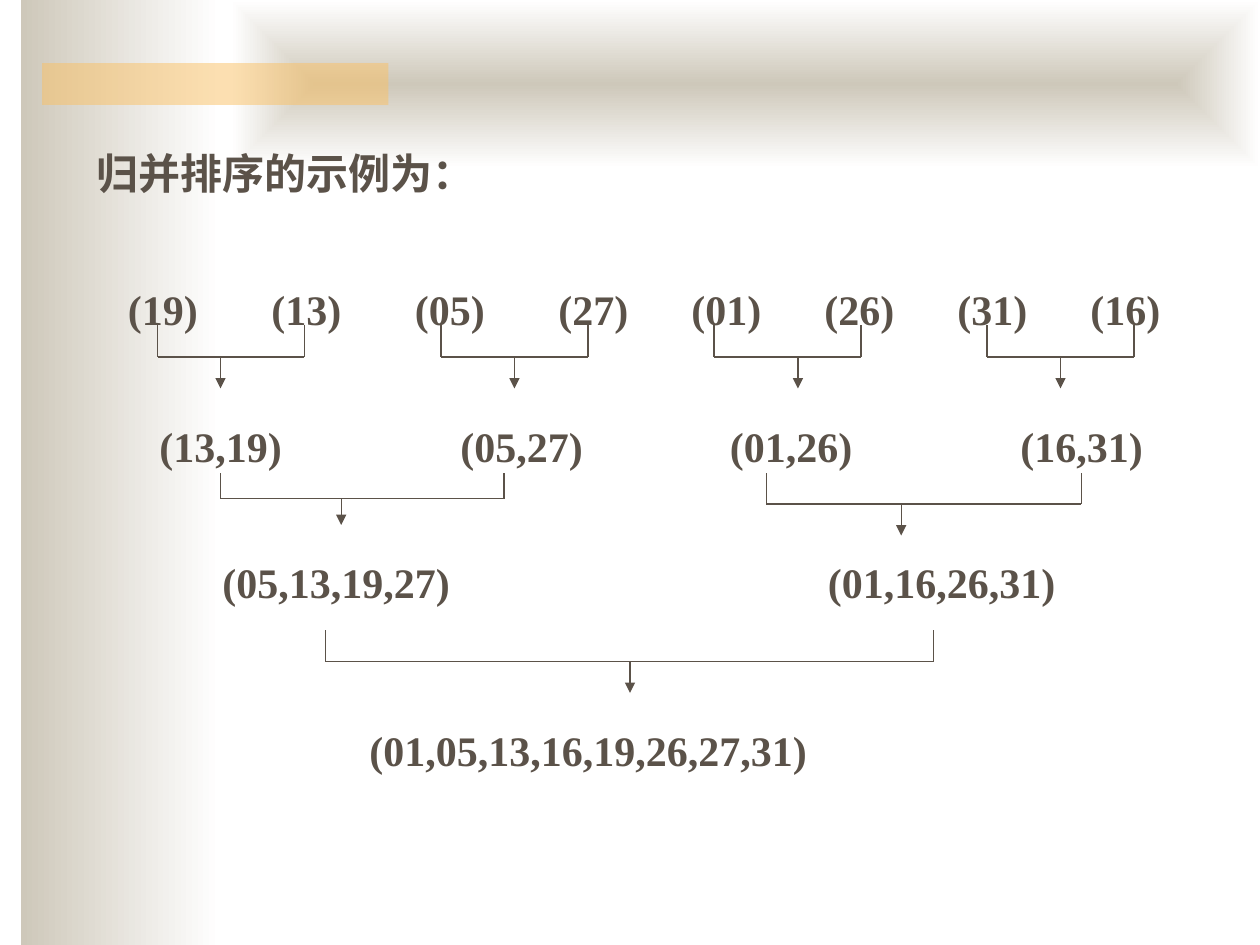
from dataclasses import dataclass

from lxml import etree
from pptx import Presentation
from pptx import util as u
from pptx.dml import color
from pptx.enum import shapes, text
from pptx.oxml import ns

INK = "5B5249"
SAND = "CEC8BA"
WHITE = "FFFFFF"
AMBER = "FAC164"
FONT = "Times New Roman"


@dataclass
class Row:
    left: float
    top: float
    width: float
    stops: list[float]
    lists: list[str]


@dataclass
class Bracket:
    left: float
    right: float
    arrow_x: float
    y: float
    reach: float = 18


ROWS = [
    Row(66, 156, 624, [82 * i for i in range(5)] + [322 + 76 * i for i in range(1, 4)],
        ["(19)", "(13)", "(05)", "(27)", "(01)", "(26)", "(31)", "(16)"]),
    Row(60, 234, 636, [24, 196, 350, 516], ["(13,19)", "(05,27)", "(01,26)", "(16,31)"]),
    Row(60, 312, 612, [60, 406], ["(05,13,19,27)", "(01,16,26,31)"]),
    Row(78, 408, 564, [126], ["(01,05,13,16,19,26,27,31)"]),
]
# The fifth list follows a narrower gap than the first four
ROWS[0].stops[4] = 322

BRACKETS = [
    *[Bracket(left, left + 84, arrow_x, 204)
      for left, arrow_x in [(90, 126), (252, 294), (408, 456), (564, 606)]],
    Bracket(126, 288, 195, 285, 15),
    Bracket(438, 618, 515, 288),
    Bracket(186, 533.5, 360, 378),
]


def rgb(value: str) -> color.RGBColor:
    return color.RGBColor.from_string(value)


def child(parent, tag: str, **attributes: str):
    return etree.SubElement(parent, ns.qn(tag), **attributes)


def add_panel(page, left: float, top: float, width: float, height: float):
    panel = page.shapes.add_shape(shapes.MSO_SHAPE.RECTANGLE, u.Pt(left), u.Pt(top),
                                  u.Pt(width), u.Pt(height))
    panel.shadow.inherit = False
    panel.line.fill.background()
    return panel


def fade(panel) -> None:
    panel.fill.gradient()
    panel.fill.gradient_angle = 0
    for stop, value, place in zip(panel.fill.gradient_stops, (SAND, WHITE), (0, 1)):
        stop.color.rgb = rgb(value)
        stop.position = place


def fade_from_centre(panel) -> None:
    fade(panel)
    linear = panel.fill._fill._gradFill.find(ns.qn("a:lin"))
    route = etree.Element(ns.qn("a:path"), path="rect")
    child(route, "a:fillToRect", l="50000", t="50000", r="50000", b="50000")
    linear.getparent().replace(linear, route)


def add_text(parent, left: float, top: float, width: float, words: str,
             inset_top: float, stops: list[float]) -> None:
    box = parent.add_textbox(u.Pt(left), u.Pt(top), u.Pt(width), u.Pt(36))
    frame = box.text_frame
    frame.word_wrap = True
    frame.vertical_anchor = text.MSO_ANCHOR.TOP
    frame.margin_top = u.Pt(inset_top)
    para = frame.paragraphs[0]
    if stops:
        tabs = child(para._p.get_or_add_pPr(), "a:tabLst")
        for stop in stops:
            child(tabs, "a:tab", pos=str(u.Pt(stop)), algn="l")
    span = para.add_run()
    span.text = words
    span.font.name = FONT
    span.font.size = u.Pt(24)
    span.font.bold = True
    span.font.color.rgb = rgb(INK)


def add_row(parent, row: Row) -> None:
    stops = [stop for stop in row.stops if stop > 0]
    lead = "\t" if row.stops[0] > 0 else ""
    add_text(parent, row.left, row.top, row.width, lead + "\t".join(row.lists), 6.2, stops)


def add_line(parent, x1: float, y1: float, x2: float, y2: float, arrow: bool = False) -> None:
    line = parent.add_connector(shapes.MSO_CONNECTOR.STRAIGHT,
                                u.Pt(x1), u.Pt(y1), u.Pt(x2), u.Pt(y2))
    line.line.color.rgb = rgb(INK)
    line.line.width = u.Pt(0.75)
    if arrow:
        child(line.line._get_or_add_ln(), "a:tailEnd", type="triangle")
    child(line._element.spPr, "a:effectLst")


def add_bracket(parent, bracket: Bracket) -> None:
    y, reach = bracket.y, bracket.reach
    add_line(parent, bracket.left, y, bracket.right, y)
    for x in (bracket.left, bracket.right):
        add_line(parent, x, y, x, y - reach)
    add_line(parent, bracket.arrow_x, y, bracket.arrow_x, y + reach, arrow=True)


def main() -> None:
    deck = Presentation()
    deck.slide_width, deck.slide_height = u.Pt(720), u.Pt(540)
    page = deck.slides.add_slide(deck.slide_layouts[6])

    # Background panels
    fade(add_panel(page, 12, 0, 114, 540))
    fade_from_centre(add_panel(page, 132, 0, 588, 96))
    accent = add_panel(page, 24, 36, 198, 24)
    accent.fill.solid()
    accent.fill.fore_color.rgb = rgb(AMBER)
    child(accent.fill._fill._solidFill[0], "a:alpha", val="50000")

    # Heading
    add_text(page.shapes, 48, 84, 624, "归并排序的示例为：", 0.6, [])

    # Merge tree
    tree = page.shapes.add_group_shape().shapes
    for row in ROWS:
        add_row(tree, row)
    for bracket in BRACKETS:
        add_bracket(tree, bracket)

    deck.save("out.pptx")


if __name__ == "__main__":
    main()
